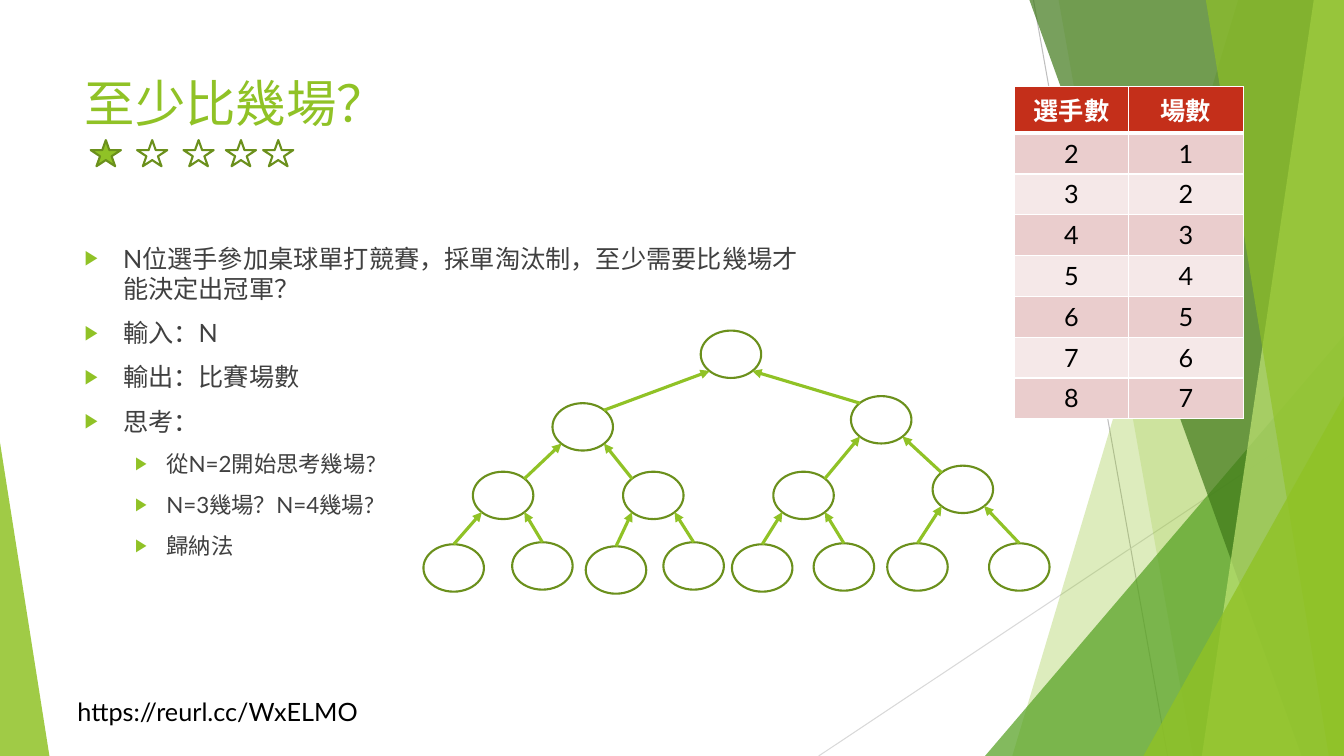
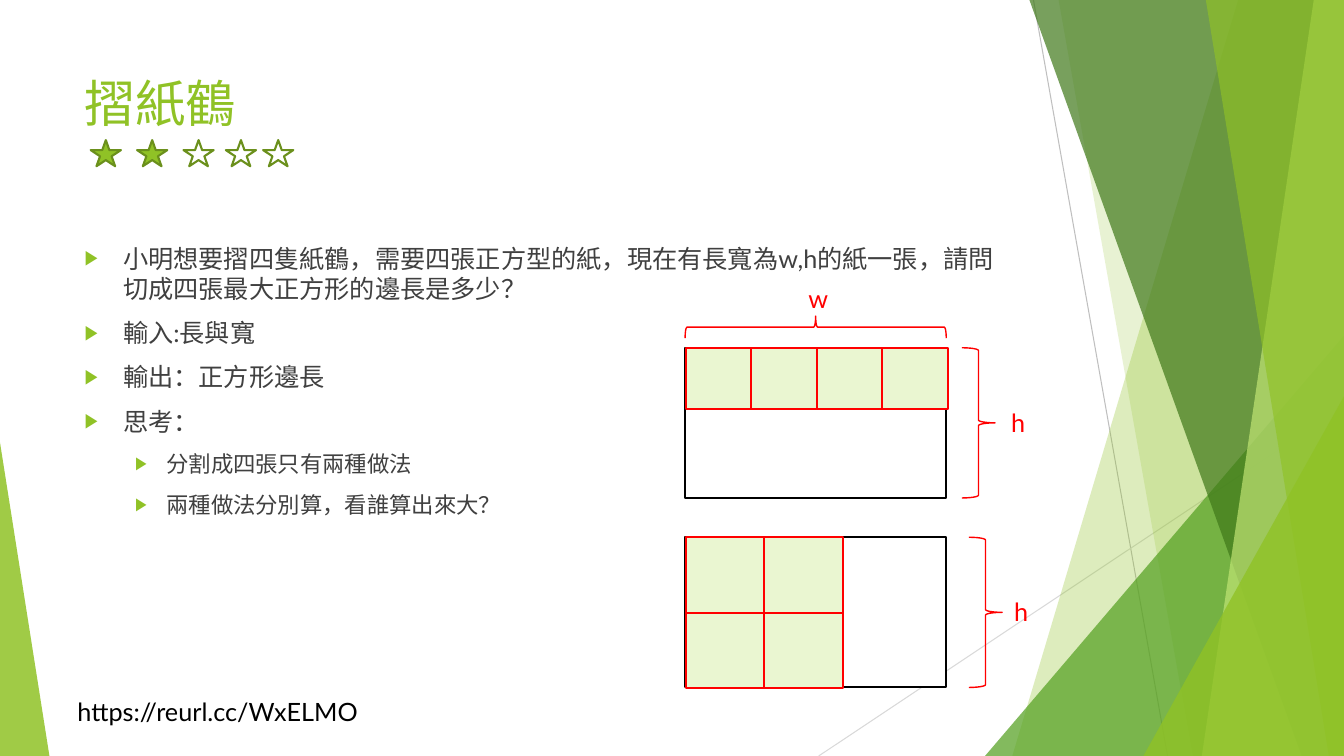
from dataclasses import dataclass
from typing import NamedTuple

from lxml import etree
from pptx import Presentation
from pptx import util as u
from pptx.dml.color import RGBColor
from pptx.enum import shapes, text
from pptx.oxml.ns import qn

PX = 9144  # EMU per px, 100 px to the inch
FONT = "Lato"
C = {
    "green": "90C226", "leaf": "54A021", "forest": "3F7819", "lime": "C0E474",
    "edge": "6B901C", "pale": "EAF6D1", "body": "404040", "white": "FFFFFF",
    "black": "000000", "red": "FF0000", "grey": "BFBFBF", "light": "D9D9D9",
    "head": "C42F1A", "band1": "EACDCD", "band2": "F5E8E8",
}
SHAPE = shapes.MSO_SHAPE


class Box(NamedTuple):
    x: int
    y: int
    w: int
    h: int

    def emu(self) -> list[int]:
        return [v * PX for v in self]


@dataclass
class Facet:
    points: list[tuple[int, int]]
    color: str
    alpha: int


@dataclass
class Wedge:
    box: Box
    apex: float
    color: str
    alpha: int


@dataclass
class Item:
    text: str
    level: int = 0


W, H = 1333, 750
TITLE = Box(74, 67, 940, 144)
BODY = Box(74, 236, 940, 424)
RULES = [((1025, 0), (1158, H), "grey"), ((W, 403), (812, H), "light")]
FACETS = [
    Facet([(1228, 0), (W, 0), (W, H), (1004, H)], "green", 30),
    Facet([(1050, 0), (W, 0), (W, H), (1183, H)], "green", 20),
    Wedge(Box(977, 333, 356, 417), 1, "leaf", 72),
    Facet([(1021, 0), (W, 0), (W, H), (1291, H)], "forest", 70),
    Facet([(1303, 0), (W, 0), (W, H), (1192, H)], "lime", 70),
    Facet([(1196, 0), (W, 0), (W, H), (1318, H)], "green", 65),
    Wedge(Box(1134, 393, 199, 357), 1, "green", 80),
    Wedge(Box(0, 439, 49, 311), 0, "green", 85),
]
STARS_X = [90, 136, 182, 224, 261]


# Basic helpers
def rgb(name: str) -> RGBColor:
    return RGBColor.from_string(C[name])


def paint(sp, fill: str | None, line: str | None = None, width: float = 1.5,
          alpha: int = 100) -> None:
    sp.shadow.inherit = False
    if fill:
        sp.fill.solid()
        sp.fill.fore_color.rgb = rgb(fill)
        if alpha < 100:
            clr = sp.element.spPr.find(qn("a:solidFill"))[0]
            etree.SubElement(clr, qn("a:alpha"), val=str(alpha * 1000))
    else:
        sp.fill.background()
    if line:
        sp.line.color.rgb = rgb(line)
        sp.line.width = u.Pt(width)
    else:
        sp.line.fill.background()


def add_shape(s, kind, box: Box, fill: str | None, line: str | None = None,
              width: float = 1.5, alpha: int = 100):
    sp = s.shapes.add_shape(kind, *box.emu())
    paint(sp, fill, line, width, alpha)
    return sp


def add_line(s, start: tuple, end: tuple, color: str, width: float,
             arrow: bool = False):
    cn = s.shapes.add_connector(shapes.MSO_CONNECTOR.STRAIGHT,
                                *(v * PX for v in (*start, *end)))
    cn.line.color.rgb = rgb(color)
    cn.line.width = u.Pt(width)
    if arrow:
        etree.SubElement(cn.line._get_or_add_ln(), qn("a:headEnd"), type="triangle")
    etree.SubElement(cn.element.spPr, qn("a:effectLst"))
    return cn


def add_run(p, words: str, size: int, color: str, bold: bool = False) -> None:
    r = p.add_run()
    r.text = words
    r.font.name, r.font.size, r.font.bold = FONT, u.Pt(size), bold
    r.font.color.rgb = rgb(color)


def add_label(s, words: str, box: Box, color: str):
    sp = s.shapes.add_textbox(*box.emu())
    tf = sp.text_frame
    tf.word_wrap = False
    tf.auto_size = text.MSO_AUTO_SIZE.SHAPE_TO_FIT_TEXT
    add_run(tf.paragraphs[0], words, 18, color)
    return sp


def place(sp, box: Box) -> None:
    sp.left, sp.top, sp.width, sp.height = box.emu()


# Shared layout: backdrop, link and placeholder positions
def dress_layout(layout, s) -> None:
    parts = [add_line(s, a, b, color, 0.75) for a, b, color in RULES]
    for f in FACETS:
        if isinstance(f, Wedge):
            sp = add_shape(s, SHAPE.ISOSCELES_TRIANGLE, f.box, f.color, alpha=f.alpha)
            sp.adjustments[0] = f.apex
        else:
            fb = s.shapes.build_freeform(*f.points[0], scale=PX)
            fb.add_line_segments(f.points[1:], close=True)
            sp = fb.convert_to_shape()
            paint(sp, f.color, alpha=f.alpha)
        parts.append(sp)
    parts.append(add_label(s, "https://reurl.cc/WxELMO", Box(67, 686, 312, 40), "black"))
    for i, sp in enumerate(parts):
        layout.shapes.element.insert(2 + i, sp.element)
    for ph, box in zip(layout.placeholders, (TITLE, BODY)):
        place(ph, box)
        ph.text_frame.vertical_anchor = text.MSO_ANCHOR.TOP
        ph.text_frame.auto_size = text.MSO_AUTO_SIZE.NONE


def add_bullet(p, item: Item, first: bool) -> None:
    indent, hang = ((38, 38), (81, 31))[item.level]
    p.level = item.level
    p.space_before = u.Pt(0 if first else 10)
    pPr = p._p.get_or_add_pPr()
    pPr.set("marL", str(indent * PX))
    pPr.set("indent", str(-hang * PX))
    clr = etree.SubElement(pPr, qn("a:buClr"))
    etree.SubElement(clr, qn("a:srgbClr"), val=C["green"])
    etree.SubElement(pPr, qn("a:buSzPct"), val="80000")
    etree.SubElement(pPr, qn("a:buChar"), char="▶")
    add_run(p, item.text, 18 - 2 * item.level, "body")


def fill_text(s, title: str, items: list[Item], body: Box = BODY) -> None:
    p = s.shapes.title.text_frame.paragraphs[0]
    p.alignment = text.PP_ALIGN.LEFT
    add_run(p, title, 36, "green")
    ph = s.placeholders[1]
    place(ph, body)
    tf = ph.text_frame
    for i, item in enumerate(items):
        add_bullet(tf.add_paragraph() if i else tf.paragraphs[0], item, i == 0)


def add_stars(s, score: int) -> None:
    for i, x in enumerate(STARS_X):
        add_shape(s, SHAPE.STAR_5_POINT, Box(x, 139, 30, 26),
                  "green" if i < score else None, "edge")


# Knockout tree, nodes in heap order
NODE_W, NODE_H = 60, 47
CUT_X, CUT_Y = 9, 7  # from the box corner to the diagonal point of the ellipse
NODES = [
    (695, 328),
    (548, 400), (844, 393),
    (469, 468), (618, 468), (767, 468), (925, 462),
    (420, 540), (508, 538), (581, 542), (658, 538),
    (726, 540), (807, 539), (880, 539), (981, 539),
]


def add_tree(s) -> None:
    for x, y in NODES:
        add_shape(s, SHAPE.OVAL, Box(x, y, NODE_W, NODE_H), "white", "edge")
    for i, (x, y) in enumerate(NODES[1:], 1):
        px, py = NODES[(i - 1) // 2]
        is_left, is_leaf = i % 2 == 1, 2 * i + 1 >= len(NODES)
        near, far = CUT_X, NODE_W - CUT_X
        start = (px + (near if is_left else far), py + NODE_H - CUT_Y)
        if is_leaf:
            end = (x + NODE_W // 2, y)
        else:
            end = (x + (far if is_left else near), y + CUT_Y)
        add_line(s, start, end, "green", 2.25, arrow=True)


# Table of players and matches
def fill_cell(cell, words: str, fill: str, header: bool) -> None:
    tcPr = cell._tc.get_or_add_tcPr()
    for side in "LRTB":
        width = 3 if header and side == "B" else 1
        ln = etree.SubElement(tcPr, qn(f"a:ln{side}"), w=str(u.Pt(width)))
        solid = etree.SubElement(ln, qn("a:solidFill"))
        etree.SubElement(solid, qn("a:srgbClr"), val=C["white"])
    cell.fill.solid()
    cell.fill.fore_color.rgb = rgb(fill)
    p = cell.text_frame.paragraphs[0]
    p.alignment = text.PP_ALIGN.CENTER
    add_run(p, words, 18, "white" if header else "black", header)


def add_match_table(s) -> None:
    rows = [("選手數", "場數")] + [(str(n), str(n - 1)) for n in range(2, 9)]
    tbl = s.shapes.add_table(len(rows), 2, *Box(1006, 86, 227, 324).emu()).table
    for i, row in enumerate(rows):
        fill = "head" if i == 0 else ("band2", "band1")[i % 2]
        for j, words in enumerate(row):
            fill_cell(tbl.cell(i, j), words, fill, i == 0)


# Sheet of paper with its squares
def add_sheet(s, y: int, cols: int, rows: int, w: int, h: int) -> None:
    add_shape(s, SHAPE.RECTANGLE, Box(679, y, 259, 149), "white", "black")
    for i in range(cols * rows):
        col, row = i % cols, i // cols
        add_shape(s, SHAPE.RECTANGLE, Box(680 + col * w, y + row * h, w, h),
                  "pale", "red")


def add_brace(s, box: Box, words: str, label: Box, turn: int = 0) -> None:
    sp = add_shape(s, SHAPE.RIGHT_BRACE, box, None, "red", 1)
    sp.rotation = turn
    add_label(s, words, label, "red")


def main() -> None:
    prs = Presentation()
    prs.slide_width, prs.slide_height = W * PX, H * PX
    layout = prs.slide_layouts[1]

    # Slide 1: knockout matches
    s = prs.slides.add_slide(layout)
    dress_layout(layout, s)
    fill_text(s, "至少比幾場？", [
        Item("N位選手參加桌球單打競賽，採單淘汰制，至少需要比幾場才能決定出冠軍？"),
        Item("輸入：N"), Item("輸出：比賽場數"), Item("思考："),
        Item("從N=2開始思考幾場?", 1), Item("N=3幾場？N=4幾場?", 1),
        Item("歸納法", 1),
    ], BODY._replace(w=745))
    add_tree(s)
    add_stars(s, 1)
    add_match_table(s)

    # Slide 2: paper cranes
    s = prs.slides.add_slide(layout)
    fill_text(s, "摺紙鶴", [
        Item("小明想要摺四隻紙鶴，需要四張正方型的紙，現在有長寬為w,h的紙一張，"
             "請問切成四張最大正方形的邊長是多少？"),
        Item("輸入:長與寬"), Item("輸出：正方形邊長"), Item("思考："),
        Item("分割成四張只有兩種做法", 1),
        Item("兩種做法分別算，看誰算出來大？", 1),
    ])
    add_sheet(s, 345, 4, 1, 65, 61)
    add_sheet(s, 533, 2, 2, 78, 75)
    add_brace(s, Box(954, 345, 33, 149), "h", Box(993, 399, 34, 40))
    add_brace(s, Box(961, 533, 33, 149), "h", Box(996, 587, 34, 40))
    add_brace(s, Box(798, 195, 22, 259), "w", Box(792, 276, 39, 40), 270)
    add_stars(s, 2)

    prs.save("out.pptx")


if __name__ == "__main__":
    main()
